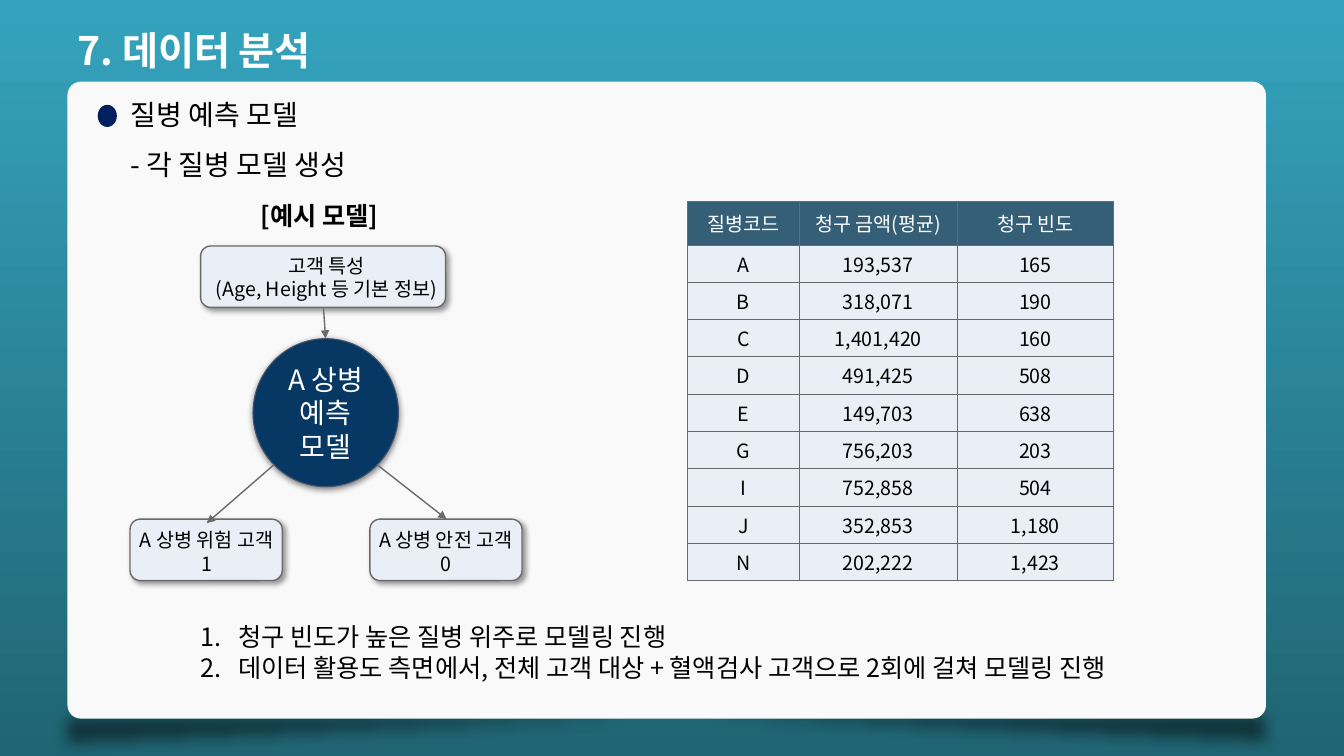
from lxml import etree
from pptx import Presentation
from pptx.dml.color import RGBColor
from pptx.enum.shapes import MSO_CONNECTOR, MSO_SHAPE
from pptx.enum.text import MSO_ANCHOR, MSO_AUTO_SIZE, PP_ALIGN
from pptx.oxml import parse_xml
from pptx.oxml.ns import qn
from pptx.util import Pt

# Content: boxes are left, top, width, height in points
FONT = "Noto Sans CJK KR"
COLORS = {"sky": "35A3BD", "sea": "206473", "card": "F9F9F9", "black": "000000",
          "white": "FFFFFF", "pale": "EAEFF7", "gray": "6A6A6A", "navy": "073763",
          "slate": "44546A", "header": "355F77", "bullet": "002060"}

CARD = (48.2, 58.3, 856.1, 455)
CARD_SHADOWS = [((46.8, 502.6, 865.4, 36), ("flipH", "flipV")),
                ((38.9, 504, 865.4, 36), ("flipV",))]
BULLET = (69.8, 74.9, 13.7, 15.8)
# box, size, colour, bold
HEADINGS = [
    ("7. 데이터 분석", (48.2, 15.1, 541.4, 41), 28, "white", True),
    ("질병 예측 모델", (86.4, 66.2, 257, 31.7), 20, "black", False),
    ("- 각 질병 모델 생성", (86.4, 101.5, 347.8, 31.7), 20, "black", False),
    ("[예시 모델]", (179.3, 139.7, 108, 28.8), 18, "black", True),
]
# lines, node box, label box
NODES = [
    (["A 상병 위험 고객", "1"], (92.9, 370.8, 108.7, 43.9), (83.5, 373.7, 128.2, 41)),
    (["A 상병 안전 고객", "0"], (264.2, 370.8, 108.7, 43.9), (253.4, 373.7, 130.3, 41)),
    (["고객 특성", "(Age, Height 등 기본 정보)"],
     (143.3, 175.7, 175, 43.9), (110.2, 177.8, 246.2, 41)),
]
MODEL = ("A 상병 예측 모델", (180.7, 241.9, 103.9, 105.8))
ARROWS = [((231.1, 220.3), (232.6, 241.9)),
          ((195.8, 331.9), (147.6, 373.7)),
          ((269.3, 331.9), (319, 370.8))]
NOTES = ["청구 빈도가 높은 질병 위주로 모델링 진행",
         "데이터 활용도 측면에서, 전체 고객 대상 + 혈액검사 고객으로 2회에 걸쳐 모델링 진행"]
NOTES_BOX = (136.1, 440.6, 733, 51.1)
NOTES_INDENT = 27
CLAIMS = [
    ("질병코드", "청구 금액(평균)", "청구 빈도"),
    ("A", "193,537", "165"),
    ("B", "318,071", "190"),
    ("C", "1,401,420", "160"),
    ("D", "491,425", "508"),
    ("E", "149,703", "638"),
    ("G", "756,203", "203"),
    ("I", "752,858", "504"),
    ("J", "352,853", "1,180"),
    ("N", "202,222", "1,423"),
]
CLAIMS_BOX = (491, 144, 304.4, 270.7)
CLAIMS_COLUMNS = (80, 112.8, 111.6)
HEADER_HEIGHT = 31

A_NS = 'xmlns:a="http://schemas.openxmlformats.org/drawingml/2006/main"'


def rgb(name):
    return RGBColor.from_string(COLORS[name])


def points(values):
    return [Pt(v) for v in values]


def add_effect(shape, effect=""):
    shape.element.spPr.append(parse_xml(f"<a:effectLst {A_NS}>{effect}</a:effectLst>"))


def drop_shadow(alpha, blur, distance, angle):
    return (f'<a:outerShdw blurRad="{Pt(blur)}" dist="{Pt(distance)}" '
            f'dir="{angle * 60000}" algn="ctr" rotWithShape="0">'
            f'<a:srgbClr val="{COLORS["black"]}">'
            f'<a:alpha val="{alpha * 1000}"/></a:srgbClr></a:outerShdw>')


def draw_shape(kind, box, fill, line=None, width=1, effect=""):
    shape = slide.shapes.add_shape(kind, *points(box))
    shape.fill.solid()
    shape.fill.fore_color.rgb = rgb(fill)
    if line:
        shape.line.color.rgb = rgb(line)
        shape.line.width = Pt(width)
    else:
        shape.line.fill.background()
    add_effect(shape, effect)
    return shape


def write(frame, lines, size, color, bold=False, align=None):
    for i, line in enumerate(lines):
        paragraph = frame.paragraphs[0] if i == 0 else frame.add_paragraph()
        paragraph.alignment = align
        run = paragraph.add_run()
        run.text = line
        run.font.size = Pt(size)
        run.font.bold = bold
        run.font.color.rgb = rgb(color)
        run.font.name = FONT
        etree.SubElement(run.font._element, qn("a:ea"), typeface=FONT)


def draw_text(lines, box, size, color, bold=False, align=None):
    frame = slide.shapes.add_textbox(*points(box)).text_frame
    frame.word_wrap = True
    frame.auto_size = MSO_AUTO_SIZE.SHAPE_TO_FIT_TEXT
    write(frame, lines, size, color, bold, align)
    return frame


prs = Presentation()
prs.slide_width, prs.slide_height = Pt(960), Pt(540)
slide = prs.slides.add_slide(prs.slide_layouts[6])

# Background
background = slide.background.fill
background.gradient()
background.gradient_angle = 270
for stop, color in zip(background.gradient_stops, ("sky", "sea")):
    stop.color.rgb = rgb(color)

# Card with soft shadows under its lower corners
for box, flips in CARD_SHADOWS:
    wedge = draw_shape(MSO_SHAPE.RIGHT_TRIANGLE, box, "black",
                       effect=f'<a:softEdge rad="{Pt(10)}"/>')
    for flip in flips:
        wedge.element.spPr.xfrm.set(flip, "1")
    wedge_color = wedge.element.spPr.find(qn("a:solidFill"))[0]
    etree.SubElement(wedge_color, qn("a:alpha"), val="51000")
card = draw_shape(MSO_SHAPE.ROUNDED_RECTANGLE, CARD, "card")
card.adjustments[0] = 0.021

# Headings
for text, box, size, color, bold in HEADINGS:
    draw_text([text], box, size, color, bold)
draw_shape(MSO_SHAPE.OVAL, BULLET, "bullet")

# Model diagram
for lines, node_box, label_box in NODES:
    draw_shape(MSO_SHAPE.ROUNDED_RECTANGLE, node_box, "pale", "gray",
               effect=drop_shadow(40, 4, 3, 45))
    draw_text(lines, label_box, 14, "black", align=PP_ALIGN.CENTER)

model_text, model_box = MODEL
model = draw_shape(MSO_SHAPE.OVAL, model_box, "navy", "slate", 0.75,
                   drop_shadow(50, 4.5, 1.5, 90))
model_frame = model.text_frame
model_frame.word_wrap = True
model_frame.vertical_anchor = MSO_ANCHOR.MIDDLE
model_frame.margin_left = model_frame.margin_right = Pt(7.2)
model_frame.margin_top = model_frame.margin_bottom = Pt(7.2)
write(model_frame, [model_text], 20, "white", align=PP_ALIGN.CENTER)

for start, end in ARROWS:
    arrow = slide.shapes.add_connector(MSO_CONNECTOR.STRAIGHT, *points(start + end))
    arrow.line.color.rgb = rgb("gray")
    arrow.line.width = Pt(1)
    etree.SubElement(arrow.line._get_or_add_ln(), qn("a:tailEnd"), type="triangle")
    add_effect(arrow)

# Numbered notes
notes = draw_text(NOTES, NOTES_BOX, 18, "black")
for paragraph in notes.paragraphs:
    properties = paragraph._p.get_or_add_pPr()
    properties.set("marL", str(Pt(NOTES_INDENT)))
    properties.set("indent", str(-Pt(NOTES_INDENT)))
    etree.SubElement(properties, qn("a:buAutoNum"), type="arabicPeriod")

# Claims table
claims = slide.shapes.add_table(len(CLAIMS), len(CLAIMS[0]), *points(CLAIMS_BOX)).table
for column, width in zip(claims.columns, CLAIMS_COLUMNS):
    column.width = Pt(width)
body_height = (CLAIMS_BOX[3] - HEADER_HEIGHT) / (len(CLAIMS) - 1)
for r, values in enumerate(CLAIMS):
    claims.rows[r].height = Pt(body_height if r else HEADER_HEIGHT)
    for c, value in enumerate(values):
        cell = claims.cell(r, c)
        cell.vertical_anchor = MSO_ANCHOR.MIDDLE
        cell.margin_left = cell.margin_right = Pt(1.44)
        cell.margin_top = cell.margin_bottom = Pt(1.44)
        write(cell.text_frame, [value], 14, "black" if r else "white",
              align=PP_ALIGN.CENTER)
        cell_properties = cell._tc.get_or_add_tcPr()
        for side in ("lnL", "lnR", "lnT", "lnB"):
            cell_properties.append(parse_xml(
                f'<a:{side} {A_NS} w="{Pt(0.5)}"><a:solidFill>'
                f'<a:srgbClr val="{COLORS["gray"]}"/></a:solidFill></a:{side}>'))
        cell.fill.solid()
        cell.fill.fore_color.rgb = rgb("pale" if r else "header")

prs.save("out.pptx")
